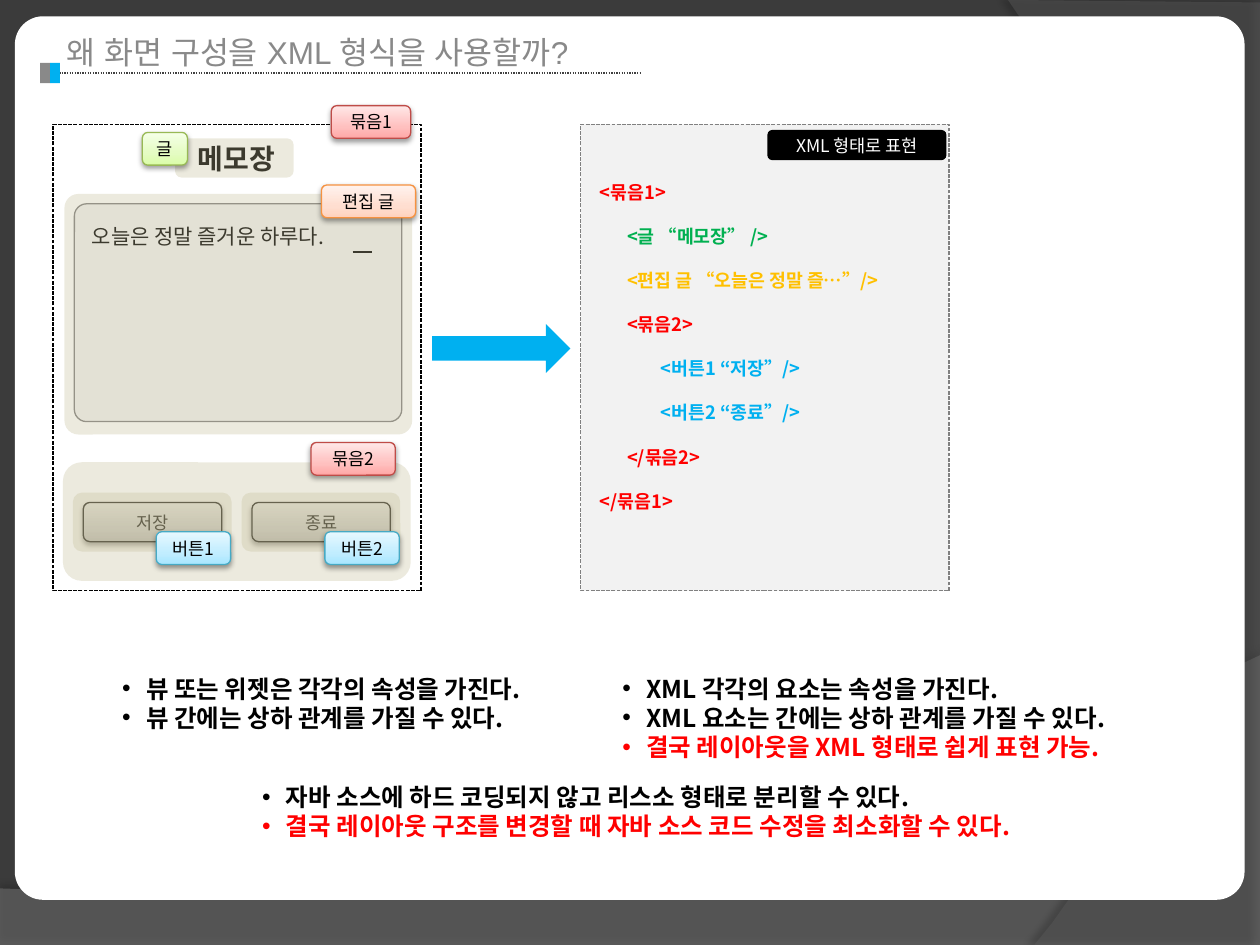
from dataclasses import dataclass
from typing import NamedTuple, Optional

from lxml.etree import SubElement
from pptx import Presentation
from pptx.dml.color import RGBColor
from pptx.enum.dml import MSO_LINE
from pptx.enum.shapes import MSO_CONNECTOR, MSO_SHAPE
from pptx.enum.text import MSO_ANCHOR, MSO_AUTO_SIZE, PP_ALIGN
from pptx.oxml import parse_xml
from pptx.oxml.ns import nsdecls, qn
from pptx.util import Cm, Pt


@dataclass(frozen=True)
class Theme:
    """Colours, gradients, fonts and type sizes of the slide."""
    sans: str = "Noto Sans CJK KR"
    title_font: str = "Arial"
    black: str = "000000"
    white: str = "FFFFFF"
    back: str = "3B3B3B"
    sweep_low: str = "7F7F7F"
    sweep_right: str = "5E5E5E"
    gray: str = "898989"
    rule: str = "404040"
    edge: str = "808080"
    panel: str = "F2F2F2"
    veil: str = "C4BD97"
    blue: str = "00B0F0"
    red: str = "FF0000"
    green: str = "00B050"
    amber: str = "FFC000"
    key: tuple = ("BDBDBD", "D1D1D1", "EEEEEE", "000000")
    lime: tuple = ("DAFDA7", "E4FCC2", "F5FFE7", "98B955")
    peach: tuple = ("FFD2BD", "FFDED0", "FFF2ED", "F69240")
    rose: tuple = ("FFA6A5", "FFC0BF", "FFE7E7", "BF4C48")
    sky: tuple = ("A7E6FF", "C1EDFF", "E7F8FF", "46AAC5")
    title: float = 18
    heading: float = 16
    bullet: float = 14
    memo: float = 12
    code: float = 10.5
    label: float = 10


T = Theme()


class Box(NamedTuple):
    """Left, top, width and height in centimetres."""
    x: float
    y: float
    w: float
    h: float

    def emu(self) -> list:
        """Return the four lengths for python-pptx."""
        return [Cm(v) for v in self]


class Tag(NamedTuple):
    """A glossy label."""
    text: str
    box: Box
    palette: tuple


class Line(NamedTuple):
    """A paragraph of a list."""
    text: str
    color: str = T.black
    indent: float = 0


def rgb(color: str) -> RGBColor:
    """Turn a hex string into a colour."""
    return RGBColor.from_string(color)


def set_fill(sp, color: str, alpha: int = 100) -> None:
    """Fill a shape with one colour, optionally translucent."""
    sp.fill.solid()
    sp.fill.fore_color.rgb = rgb(color)
    if alpha < 100:
        node = sp._element.spPr.find(f"{qn('a:solidFill')}/{qn('a:srgbClr')}")
        SubElement(node, qn("a:alpha"), val=str(alpha * 1000))


def set_shadow(sp, alpha: int, blur: float, dist: float, angle: int) -> None:
    """Give a shape an outer black shadow."""
    old = sp._element.spPr.find(qn("a:effectLst"))
    old.append(parse_xml(
        f'<a:outerShdw {nsdecls("a")} blurRad="{Pt(blur)}" dist="{Pt(dist)}" '
        f'dir="{angle * 60000}" rotWithShape="0"><a:srgbClr val="000000">'
        f'<a:alpha val="{alpha * 1000}"/></a:srgbClr></a:outerShdw>'))


def add_run(p, text: str, size: float, color: str, bold=False, font=T.sans) -> None:
    """Append a formatted run."""
    r = p.add_run()
    r.text = text
    r.font.size, r.font.bold = Pt(size), bold
    r.font.color.rgb = rgb(color)
    r.font.name = font
    SubElement(r._r.get_or_add_rPr(), qn("a:ea"), typeface=font)


def add_box(s, box: Box, color: str, kind=MSO_SHAPE.RECTANGLE, line: Optional[str] = None,
            dash=None, adj: Optional[float] = None, alpha: int = 100):
    """Add a flat preset shape."""
    sp = s.shapes.add_shape(kind, *box.emu())
    sp.shadow.inherit = False
    if adj is not None:
        sp.adjustments[0] = adj
    set_fill(sp, color, alpha)
    if line:
        sp.line.color.rgb, sp.line.width = rgb(line), Pt(0.75)
        if dash:
            sp.line.dash_style = dash
    else:
        sp.line.fill.background()
    return sp


def add_label(sp, text: str, color: str = T.black) -> None:
    """Centre a small caption in a shape."""
    tf = sp.text_frame
    tf.margin_left = tf.margin_right = tf.margin_top = tf.margin_bottom = 0
    tf.vertical_anchor = MSO_ANCHOR.MIDDLE
    tf.paragraphs[0].alignment = PP_ALIGN.CENTER
    add_run(tf.paragraphs[0], text, T.label, color)


def add_tag(s, tag: Tag) -> None:
    """Add a rounded label with a gradient and a shadow."""
    low, mid, high, edge = tag.palette
    sp = add_box(s, tag.box, low, MSO_SHAPE.ROUNDED_RECTANGLE, edge)
    solid = sp._element.spPr.find(qn("a:solidFill"))
    stops = "".join(f'<a:gs pos="{pos}"><a:srgbClr val="{c}"/></a:gs>'
                    for pos, c in ((0, low), (35000, mid), (100000, high)))
    solid.getparent().replace(solid, parse_xml(
        f'<a:gradFill {nsdecls("a")} rotWithShape="1"><a:gsLst>{stops}</a:gsLst>'
        '<a:lin ang="16200000" scaled="1"/></a:gradFill>'))
    set_shadow(sp, 38, 3.1, 1.6, 90)
    add_label(sp, tag.text)


def add_veil(s, box: Box, adj: Optional[float] = None) -> None:
    """Add a translucent highlight."""
    add_box(s, box, T.veil, MSO_SHAPE.ROUNDED_RECTANGLE, adj=adj, alpha=31)


def add_text(s, box: Box, text: str, size: float, bold=False, align=PP_ALIGN.LEFT) -> None:
    """Add a one-line text box."""
    tf = s.shapes.add_textbox(*box.emu()).text_frame
    tf.word_wrap = True
    tf.paragraphs[0].alignment = align
    add_run(tf.paragraphs[0], text, size, T.black, bold)


def add_rule(s, x1: float, x2: float, y: float, color: str, width: float, dash=None) -> None:
    """Add a horizontal line."""
    c = s.shapes.add_connector(MSO_CONNECTOR.STRAIGHT, Cm(x1), Cm(y), Cm(x2), Cm(y))
    c.line.color.rgb, c.line.width = rgb(color), Pt(width)
    if dash:
        c.line.dash_style = dash
    SubElement(c._element.spPr, qn("a:effectLst"))


def add_sweep(s, corners: list, curve: list, color: str, alpha: int, shadow: tuple) -> None:
    """Add a background band closed by a cubic curve."""
    steps = [i / 24 for i in range(25)]
    arc = [tuple((1 - t) ** 3 * a + 3 * (1 - t) ** 2 * t * b + 3 * (1 - t) * t * t * c + t ** 3 * d
                 for a, b, c, d in zip(*curve)) for t in steps]
    pts = [(Cm(x), Cm(y)) for x, y in corners + arc]
    fb = s.shapes.build_freeform(*pts[0])
    fb.add_line_segments(pts[1:], close=True)
    sp = fb.convert_to_shape()
    sp.shadow.inherit = False
    set_fill(sp, color, alpha)
    sp.line.fill.background()
    set_shadow(sp, *shadow)


def place(s, idx: int, box: Box):
    """Move a placeholder to the front and return its empty text frame."""
    sp = next(ph for ph in s.placeholders if ph.placeholder_format.idx == idx)
    s.shapes._spTree.append(sp._element)
    sp.left, sp.top, sp.width, sp.height = box.emu()
    tf = sp.text_frame
    tf.word_wrap, tf.auto_size = True, MSO_AUTO_SIZE.NONE
    tf.vertical_anchor = MSO_ANCHOR.TOP
    tf.paragraphs[0].alignment = PP_ALIGN.LEFT
    return tf


def fill_list(tf, lines: list, size: float, pitch: float, gap: float = 0, bullet="") -> None:
    """Write the paragraphs of a list, bulleted or indented."""
    for i, line in enumerate(lines):
        p = tf.add_paragraph() if i else tf.paragraphs[0]
        p.alignment = PP_ALIGN.LEFT
        p.line_spacing, p.space_before, p.space_after = Pt(pitch), Pt(0), Pt(gap)
        pPr = p._p.get_or_add_pPr()
        pPr.set("marL", str(Cm(0.48 if bullet else line.indent)))
        pPr.set("indent", str(Cm(-0.48) if bullet else 0))
        if bullet:
            SubElement(pPr, qn("a:buChar"), char=bullet)
        else:
            SubElement(pPr, qn("a:buNone"))
        add_run(p, line.text, size, line.color, True)


def draw_backdrop(s) -> None:
    """Draw the dark sweeps and the white sheet."""
    s.background.fill.solid()
    s.background.fill.fore_color.rgb = rgb(T.back)
    add_sweep(s, [(0, 19.05), (25.4, 19.05)],
              [(25.4, 13.21), (14.2, 18.52), (9.93, 18.26), (0, 17.91)],
              T.sweep_low, 45, (35, 4, 3.5, 270))
    add_sweep(s, [(25.4, 0.05), (25.4, 19.05)],
              [(20.85, 19.05), (23.75, 15.72), (25.86, 7.62), (20.32, 0)],
              T.sweep_right, 40, (45, 4, 4, 180))
    add_box(s, Box(0.3, 0.33, 24.79, 17.81), T.white, MSO_SHAPE.ROUNDED_RECTANGLE, adj=0.032)


def draw_memo(s) -> None:
    """Draw the memo screen with its labelled parts."""
    rounded, step = MSO_SHAPE.ROUNDED_RECTANGLE, 3.4
    add_box(s, Box(1.07, 2.51, 7.42, 9.4), T.white, line=T.black, dash=MSO_LINE.SQUARE_DOT)
    add_text(s, Box(1.07, 2.72, 7.39, 0.94), "메모장", T.heading, True, PP_ALIGN.CENTER)
    add_box(s, Box(1.5, 4.11, 6.6, 4.39), T.panel, rounded, T.edge, adj=0.056)
    add_text(s, Box(1.6, 4.39, 6.2, 0.76), "오늘은 정말 즐거운 하루다.", T.memo)
    add_rule(s, 7.11, 7.49, 5.08, T.black, 1.5)
    for i, name in enumerate(("저장", "종료")):
        add_tag(s, Tag(name, Box(1.68 + i * step, 10.13, 2.79, 0.79), T.key))
    add_veil(s, Box(3.53, 2.79, 2.39, 0.79))
    add_veil(s, Box(1.3, 3.91, 7.01, 4.85), 0.058)
    add_veil(s, Box(1.27, 9.32, 7.01, 2.39), 0.158)
    for i in range(2):
        add_veil(s, Box(1.47 + i * step, 9.93, 3.2, 1.19), 0.158)
        add_tag(s, Tag(f"버튼{i + 1}", Box(3.15 + i * step, 10.72, 1.5, 0.66), T.sky))
    for tag in (Tag("글", Box(2.87, 2.67, 0.91, 0.66), T.lime),
                Tag("편집 글", Box(6.48, 3.73, 1.9, 0.66), T.peach),
                Tag("묶음2", Box(6.27, 8.92, 1.7, 0.66), T.rose),
                Tag("묶음1", Box(6.68, 2.13, 1.6, 0.66), T.rose)):
        add_tag(s, tag)


def draw_xml(s) -> None:
    """Draw the arrow and the panel with the XML form."""
    add_box(s, Box(11.71, 2.51, 7.42, 9.4), T.panel, line=T.edge, dash=MSO_LINE.SQUARE_DOT)
    sp = add_box(s, Box(15.47, 2.62, 3.61, 0.61), T.black, MSO_SHAPE.ROUNDED_RECTANGLE)
    add_label(sp, "XML 형태로 표현", T.white)
    add_box(s, Box(8.71, 6.53, 2.79, 0.99), T.blue, MSO_SHAPE.RIGHT_ARROW)
    one, two = 0.55, 1.23
    code = [Line("<묶음1>", T.red), Line("<글 “메모장” />", T.green, one),
            Line("<편집 글 “오늘은 정말 즐…”/>", T.amber, one), Line("<묶음2>", T.red, one),
            Line("<버튼1 “저장”/>", T.blue, two), Line("<버튼2 “종료”/>", T.blue, two),
            Line("</묶음2>", T.red, one), Line("</묶음1>", T.red)]
    fill_list(place(s, 1, Box(11.84, 3.53, 7.19, 6.99)), code, T.code, 12.4, 12.8)


def draw_title(s) -> None:
    """Write the title with its rule and colour marks."""
    tf = place(s, 0, Box(1.09, 0.53, 12.4, 1.02))
    add_run(tf.paragraphs[0], "왜 화면 구성을 XML 형식을 사용할까?", T.title, T.gray, font=T.title_font)
    add_rule(s, 1.09, 12.9, 1.47, T.rule, 0.75, MSO_LINE.ROUND_DOT)
    for i, color in enumerate((T.gray, T.blue)):
        add_box(s, Box(0.81 + i * 0.2, 1.27, 0.2, 0.41), color)


def draw_notes(s) -> None:
    """Write the three bulleted lists."""
    notes = {
        2: (Box(2.21, 13.46, 9.65, 1.45),
            [Line("뷰 또는 위젯은 각각의 속성을 가진다."), Line("뷰 간에는 상하 관계를 가질 수 있다.")]),
        3: (Box(12.29, 13.46, 11.38, 2.06),
            [Line("XML 각각의 요소는 속성을 가진다."), Line("XML 요소는 간에는 상하 관계를 가질 수 있다."),
             Line("결국 레이아웃을 XML 형태로 쉽게 표현 가능.", T.red)]),
        4: (Box(5.03, 15.65, 17.37, 1.45),
            [Line("자바 소스에 하드 코딩되지 않고 리스소 형태로 분리할 수 있다."),
             Line("결국 레이아웃 구조를 변경할 때 자바 소스 코드 수정을 최소화할 수 있다.", T.red)])}
    for idx, (box, lines) in notes.items():
        fill_list(place(s, idx, box), lines, T.bullet, 16.6, bullet="•")


def main() -> None:
    """Build and save the slide."""
    prs = Presentation()
    prs.slide_width, prs.slide_height = Cm(25.4), Cm(19.05)
    s = prs.slides.add_slide(prs.slide_layouts[4])
    for draw in (draw_backdrop, draw_title, draw_memo, draw_xml, draw_notes):
        draw(s)
    prs.save("out.pptx")


if __name__ == "__main__":
    main()
